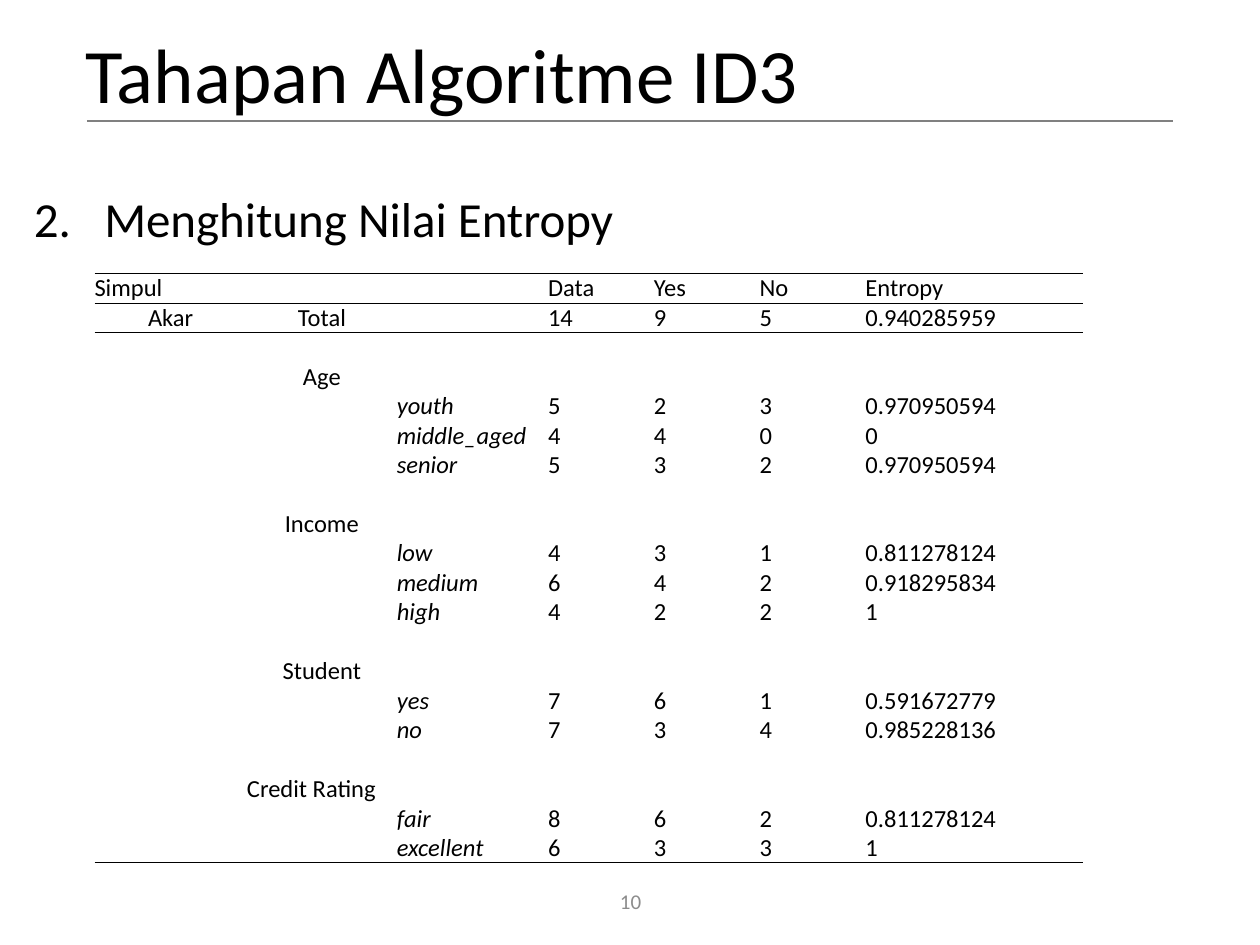
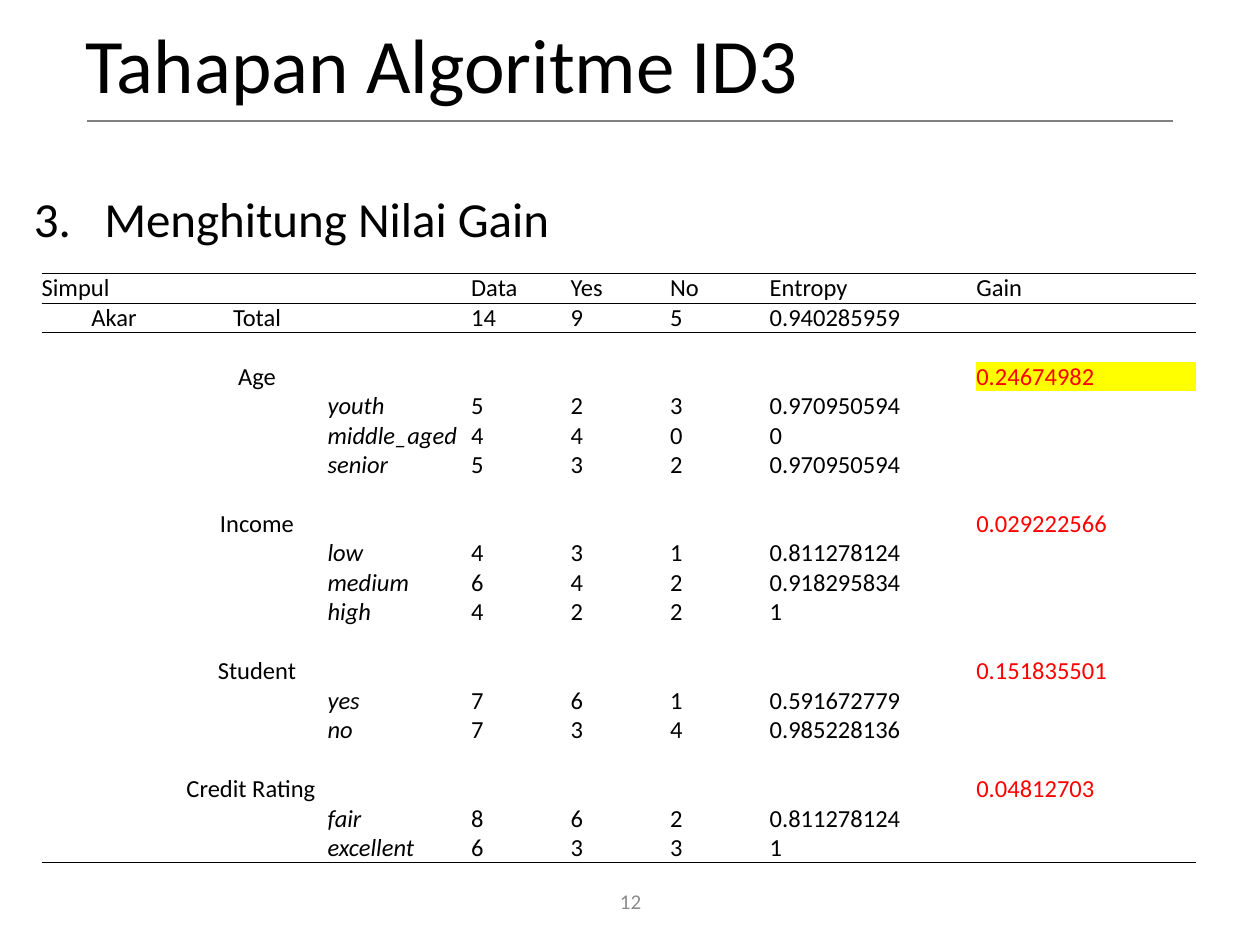
from dataclasses import dataclass
from lxml import etree
from pptx import Presentation
from pptx.dml.color import RGBColor
from pptx.enum.shapes import MSO_CONNECTOR
from pptx.enum.text import MSO_ANCHOR, PP_ALIGN
from pptx.oxml.ns import qn
from pptx.util import Inches, Pt

LINE = MSO_CONNECTOR.STRAIGHT
TOP, MID, LOW = MSO_ANCHOR.TOP, MSO_ANCHOR.MIDDLE, MSO_ANCHOR.BOTTOM
LEFT, CENTER = PP_ALIGN.LEFT, PP_ALIGN.CENTER


@dataclass(frozen=True)
class Theme:
    font: str = "Calibri"
    ink: str = "000000"
    rule: str = "808080"
    note: str = "8C8C8C"
    gain: str = "FF0000"
    mark: str = "FFFF00"
    title: int = 44
    head: int = 28
    cell: int = 14
    page: int = 12


theme = Theme()
NO_GRID = "{2D5ABB26-0587-4C30-8999-92F81FD0307C}"

# Entropy data: attribute, gain, then value, data, yes, no, entropy
total = ["Akar", "Total", "", "14", "9", "5", "0.940285959", ""]
groups = [
    ("Age", "0.24674982", ["youth 5 2 3 0.970950594", "middle_aged 4 4 0 0",
                           "senior 5 3 2 0.970950594"]),
    ("Income", "0.029222566", ["low 4 3 1 0.811278124", "medium 6 4 2 0.918295834",
                               "high 4 2 2 1"]),
    ("Student", "0.151835501", ["yes 7 6 1 0.591672779", "no 7 3 4 0.985228136"]),
    ("Credit Rating", "0.04812703", ["fair 8 6 2 0.811278124", "excellent 6 3 3 1"]),
]
rows = [["Simpul", "", "", "Data", "Yes", "No", "Entropy", "Gain"], total]
for name, gain, items in groups:
    rows += [[""] * 8, ["", name] + [""] * 5 + [gain]]
    rows += [["", "", *item.split(), ""] for item in items]
last = len(rows) - 1
best = max(gain for name, gain, items in groups)

# Page number, title top, step number, step, table left, column widths
pages = [
    ("10", 0, 2, "Menghitung Nilai Entropy", 0.75,
     [1.21, 1.19, 1.2, 0.84, 0.84, 0.84, 1.73]),
    ("12", -0.08, 3, "Menghitung Nilai Gain", 0.33,
     [1.15, 1.12, 1.14, 0.79, 0.79, 0.79, 1.64, 1.74]),
]


def write(frame, text, size, color, align=LEFT):
    frame.text = text
    para = frame.paragraphs[0]
    para.alignment = align
    for run in para.runs:
        run.font.name, run.font.size = theme.font, Pt(size)
        run.font.color.rgb = RGBColor.from_string(color)
    if not text:
        etree.SubElement(para._p, qn("a:endParaRPr"), sz=str(size * 100))
    return para


def add_text(slide, box, text, size, color, anchor, align=LEFT):
    frame = slide.shapes.add_textbox(*map(Inches, box)).text_frame
    frame.word_wrap = True
    frame.vertical_anchor = anchor
    return write(frame, text, size, color, align)


deck = Presentation()
deck.slide_width, deck.slide_height = Inches(10), Inches(7.5)

for page, top, step, head, left, widths in pages:
    slide = deck.slides.add_slide(deck.slide_layouts[6])

    # Page number and title rule
    add_text(slide, (3.88, 6.95, 2.25, 0.4), page, theme.page, theme.note, MID, CENTER)
    rule = slide.shapes.add_connector(LINE, Inches(0.69), Inches(0.96),
                                      Inches(9.31), Inches(0.96))
    rule.line.color.rgb = RGBColor.from_string(theme.rule)
    rule.line.width = Pt(1)
    etree.SubElement(rule._element.spPr, qn("a:effectLst"))

    # Title and numbered step
    para = add_text(slide, (0.58, top, 9, 1.25), "Tahapan Algoritme ID3",
                    theme.title, theme.ink, MID)
    para.line_spacing = 0.9
    para = add_text(slide, (0.17, 1.5, 9, 0.6), head, theme.head, theme.ink, TOP)
    para.line_spacing, para.space_before = 0.9, Pt(10)
    props = para._p.get_or_add_pPr()
    props.set("marL", str(Inches(0.56)))
    props.set("indent", str(-Inches(0.56)))
    etree.SubElement(props, qn("a:buFont"), typeface="+mj-lt")
    etree.SubElement(props, qn("a:buAutoNum"), type="arabicPeriod", startAt=str(step))

    # Table without grid or bands
    table = slide.shapes.add_table(len(rows), len(widths), Inches(left), Inches(2.17),
                                   Inches(sum(widths)), Inches(4.67)).table
    table.first_row = table.horz_banding = False
    table._tbl.tblPr.find(qn("a:tableStyleId")).text = NO_GRID
    for col, width in zip(table.columns, widths):
        col.width = Inches(width)

    for r, row in enumerate(rows):
        table.rows[r].height = Inches(0.23)
        for c, text in enumerate(row[:len(widths)]):
            cell = table.cell(r, c)
            cell.margin_left = cell.margin_right = 0
            cell.margin_top = cell.margin_bottom = 0
            cell.vertical_anchor = MID if r == 0 or c < 2 else LOW
            centred = r > 0 and c < 2 and text != "Credit Rating"
            para = write(cell.text_frame, text, theme.cell,
                         theme.gain if r > 0 and c == 7 else theme.ink,
                         CENTER if centred else LEFT)
            for run in para.runs:
                run.font.italic = r > 0 and c == 2
            if text == best:
                cell.fill.solid()
                cell.fill.fore_color.rgb = RGBColor.from_string(theme.mark)
            else:
                cell.fill.background()

            # Lines around the header and under the last row
            edges = [("a:lnB", r in (0, last)), ("a:lnT", r in (0, 1))]
            for tag, shown in edges:
                if shown:
                    line = etree.Element(qn(tag), w=str(Pt(0.5)))
                    fill = etree.SubElement(line, qn("a:solidFill"))
                    etree.SubElement(fill, qn("a:srgbClr"), val=theme.ink)
                    cell._tc.get_or_add_tcPr().insert(0, line)

deck.save("out.pptx")
